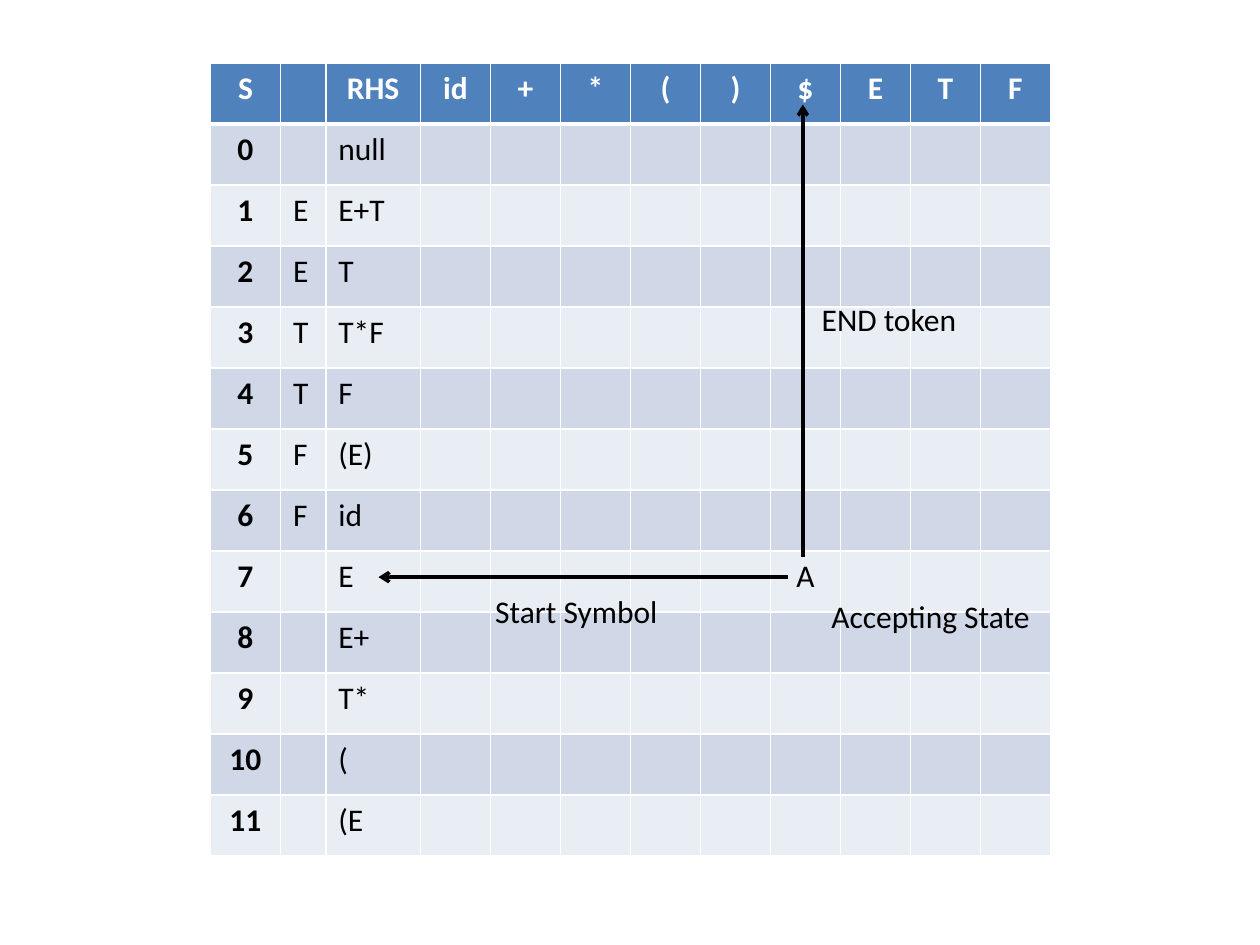
from pptx import Presentation
from pptx.dml.color import RGBColor
from pptx.enum.shapes import MSO_CONNECTOR
from pptx.enum.text import MSO_AUTO_SIZE, PP_ALIGN
from pptx.oxml.ns import qn
from pptx.util import Inches, Pt
from lxml.etree import SubElement

# Grid: 12 columns by 13 rows
LEFT, TOP = 1.67, 0.5
COL, ROW = 6.67 / 12, 6.3 / 13
NARROW = 0.36

HEAD = ["S", "", "RHS", "id", "+", "*", "(", ")", "$", "E", "T", "F"]
RULES = [("", "null"), ("E", "E+T"), ("E", "T"), ("T", "T*F"),
         ("T", "F"), ("F", "(E)"), ("F", "id"), ("", "E"),
         ("", "E+"), ("", "T*"), ("", "("), ("", "(E")]
ACCEPT = (8, 8)  # row and column of the accepting state


def color(code):
    return RGBColor.from_string(code)


def across(cols):
    return Inches(LEFT + cols * COL)


def down(rows):
    return Inches(TOP + rows * ROW)


def style(par, ink="000000", bold=False):
    for run in par.runs:
        font = run.font
        font.name, font.size, font.bold = "Calibri", Pt(18), bold
        font.color.rgb = color(ink)


def border(cell, base):
    props = cell._tc.get_or_add_tcPr()
    for side in ("L", "R", "T", "B"):
        width = Pt(base if side == "B" else 1)
        line = SubElement(props, qn(f"a:ln{side}"), w=str(width))
        paint = SubElement(line, qn("a:solidFill"))
        SubElement(paint, qn("a:srgbClr"), val="FFFFFF")


def add_cell(cell, text, row, col):
    head = row == 0
    border(cell, 3 if head else 1)
    cell.fill.solid()
    band = "D0D8E8" if row % 2 else "E9EDF4"
    cell.fill.fore_color.rgb = color("4F81BD" if head else band)
    if text:
        cell.text_frame.text = text
        par = cell.text_frame.paragraphs[0]
        if head or col == 0 or (row, col) == ACCEPT:
            par.alignment = PP_ALIGN.CENTER
        style(par, "FFFFFF" if head else "000000", head or col == 0)


def add_grid(slide):
    rows = [HEAD]
    for state, (lhs, rhs) in enumerate(RULES):
        rows.append([str(state), lhs, rhs] + [""] * 9)
    rows[ACCEPT[0]][ACCEPT[1]] = "A"

    frame = slide.shapes.add_table(len(rows), len(HEAD), across(0), down(0),
                                   Inches(12 * COL), Inches(13 * ROW))
    table = frame.table
    for col in table.columns:
        col.width = Inches(COL)
    # The second and third columns share two grid columns
    table.columns[1].width = Inches(NARROW)
    table.columns[2].width = Inches(2 * COL - NARROW)
    for r, row in enumerate(rows):
        table.rows[r].height = Inches(ROW)
        for c, text in enumerate(row):
            add_cell(table.cell(r, c), text, r, c)


def add_arrow(slide, start, end):
    line = slide.shapes.add_connector(
        MSO_CONNECTOR.STRAIGHT, across(start[0]), down(start[1]),
        across(end[0]), down(end[1]))
    line.line.color.rgb = color("000000")
    line.line.width = Pt(2)
    SubElement(line.line._get_or_add_ln(), qn("a:tailEnd"), type="arrow")
    SubElement(line._element.spPr, qn("a:effectLst"))


def add_label(slide, text, col, row, cols):
    box = slide.shapes.add_textbox(across(col), down(row),
                                   Inches(cols * COL), Inches(0.4))
    frame = box.text_frame
    frame.word_wrap = False
    frame.auto_size = MSO_AUTO_SIZE.SHAPE_TO_FIT_TEXT
    frame.text = text
    style(frame.paragraphs[0])


def main():
    deck = Presentation()
    deck.slide_width, deck.slide_height = Inches(10), Inches(7.5)
    slide = deck.slides.add_slide(deck.slide_layouts[6])

    # Parsing table
    add_grid(slide)

    # Arrows from the accepting state to its token and start symbol
    add_arrow(slide, (8.46, 8.09), (8.46, 0.68))
    add_arrow(slide, (8.24, 8.42), (2.4, 8.42))

    # Labels
    add_label(slide, "Start Symbol", 3.89, 8.56, 2.7)
    add_label(slide, "END token", 8.55, 3.78, 2.3)
    add_label(slide, "Accepting State", 8.69, 8.65, 3.37)

    deck.save("out.pptx")


if __name__ == "__main__":
    main()
